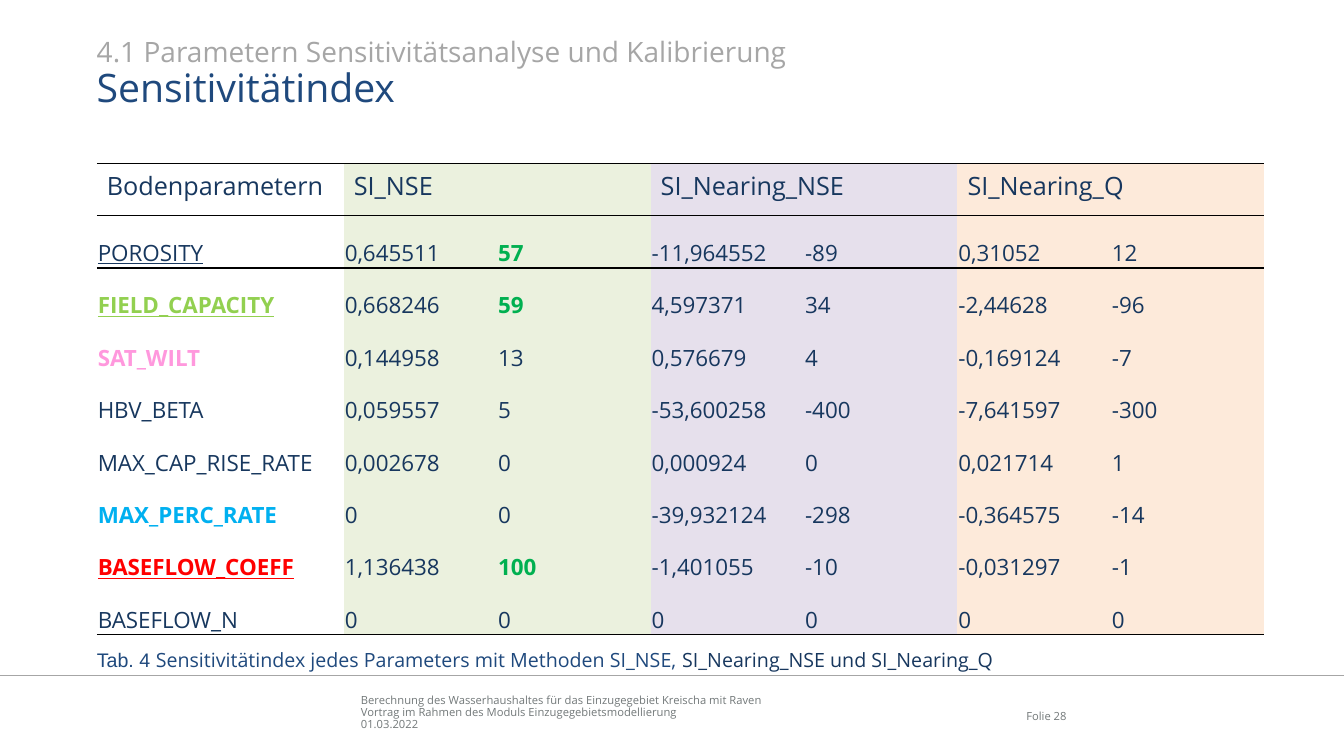
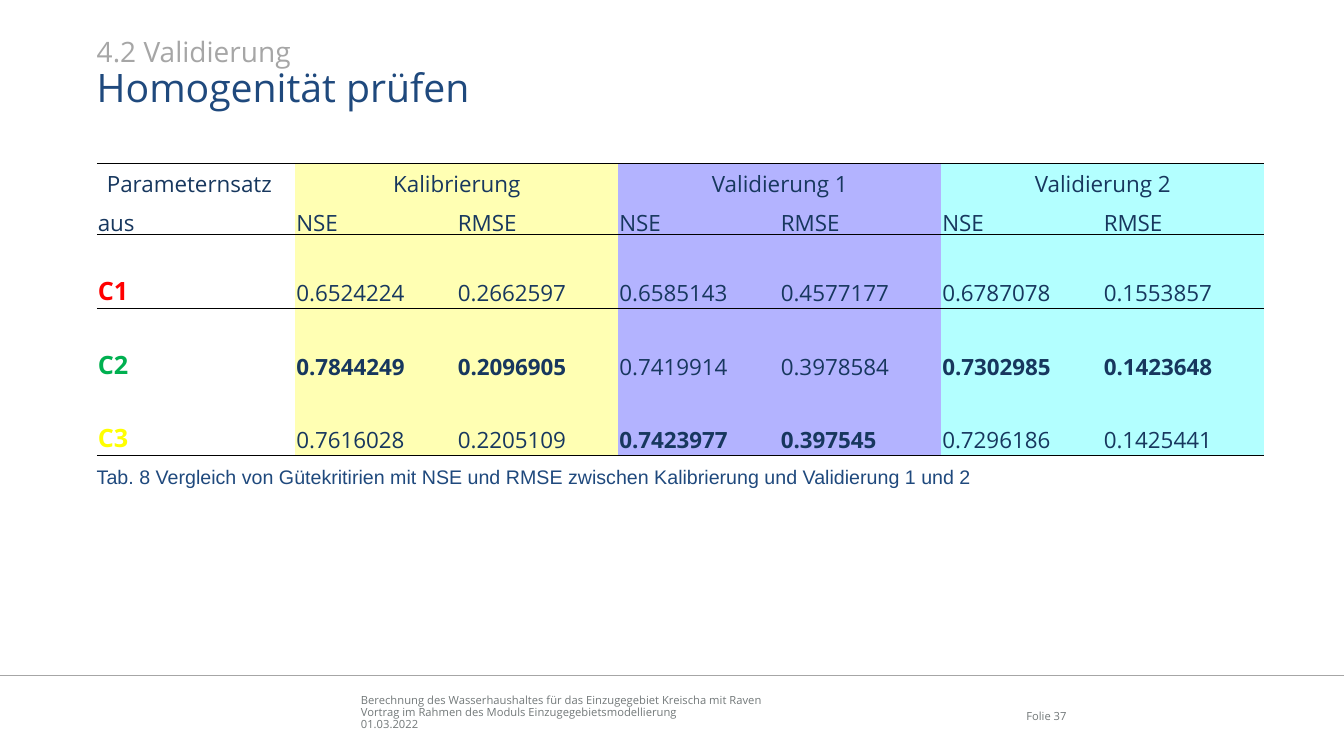
from lxml.etree import SubElement
from pptx import Presentation
from pptx.dml.color import RGBColor
from pptx.enum.shapes import MSO_CONNECTOR
from pptx.enum.text import MSO_ANCHOR, PP_ALIGN
from pptx.oxml import parse_xml
from pptx.oxml.ns import nsdecls, qn
from pptx.util import Inches, Pt

INK = RGBColor(0x17, 0x37, 0x5E)
BLUE = RGBColor(0x1F, 0x49, 0x7D)
GREY = RGBColor(0xA6, 0xA6, 0xA6)
SLATE = RGBColor(0x72, 0x78, 0x79)
GREEN = RGBColor(0x00, 0xB0, 0x50)
LIME = RGBColor(0x92, 0xD0, 0x50)
PINK = RGBColor(0xFF, 0x98, 0xDD)
SKY = RGBColor(0x00, 0xB0, 0xF0)
RED = RGBColor(0xFF, 0x00, 0x00)
YELLOW = RGBColor(0xFF, 0xFF, 0x00)
SOFT = [RGBColor(0xEB, 0xF1, 0xDE), RGBColor(0xE6, 0xE0, 0xEC),
        RGBColor(0xFD, 0xEA, 0xDA)]
VIVID = [RGBColor(0xFF, 0xFF, 0xB3), RGBColor(0xB3, 0xB3, 0xFF),
         RGBColor(0xB3, 0xFF, 0xFF)]

SANS, ARIAL = "Open Sans", "Arial"
LEFT, WIDTH = 0.96, 11.58
PLAIN = "{2D5ABB26-0587-4C30-8999-92F81FD0307C}"  # table style without grid
FOOTER = ["Berechnung des Wasserhaushaltes für das Einzugegebiet Kreischa mit Raven",
          "Vortrag im Rahmen des Moduls Einzugegebietsmodellierung",
          "01.03.2022"]


def style(font, size, color, face=SANS, bold=False, line=False):
    font.size, font.name, font.bold = Pt(size), face, bold
    font.color.rgb = color
    if line:
        font.underline = True


def rule(cell, side):
    """Draw a black border on one side ("T" or "B") of a cell."""
    cell._tc.get_or_add_tcPr().insert(0, parse_xml(
        f'<a:ln{side} {nsdecls("a")} w="12700"><a:solidFill>'
        f'<a:srgbClr val="000000"/></a:solidFill></a:ln{side}>'))


class Deck:
    def __init__(self):
        self.prs = Presentation()
        self.prs.slide_width = Inches(13.33)
        self.prs.slide_height = Inches(7.5)
        self.slide = None

    def page(self, part, title, number):
        """Start a slide with its title and footer."""
        self.slide = self.prs.slides.add_slide(self.prs.slide_layouts[6])
        foot = self.text(3.58, 6.85, 5.67, 0.4, MSO_ANCHOR.BOTTOM)
        foot.text = "\n".join(FOOTER)
        for para in foot.paragraphs:
            para.line_spacing = 0.9
            style(para.font, 8, SLATE)
        self.line(6.7)
        para = self.text(9.81, 7, 0.77, 0.17, MSO_ANCHOR.BOTTOM).paragraphs[0]
        para.text = f"Folie {number}"
        para.alignment = PP_ALIGN.RIGHT
        style(para.font, 8, SLATE)
        para = self.text(LEFT, 0.38, 11.57, 0.74).paragraphs[0]
        para.line_spacing = 0.9
        self.run(para, part, 20, GREY)
        para.add_line_break()
        self.run(para, title, 28, BLUE)

    def text(self, x, y, w, h, anchor=MSO_ANCHOR.TOP):
        box = self.slide.shapes.add_textbox(Inches(x), Inches(y), Inches(w), Inches(h))
        frame = box.text_frame
        frame.word_wrap = True
        frame.vertical_anchor = anchor
        frame.margin_left = frame.margin_right = 0
        frame.margin_top = frame.margin_bottom = 0
        return frame

    def run(self, para, words, *look):
        run = para.add_run()
        run.text = words
        style(run.font, *look)

    def line(self, y):
        line = self.slide.shapes.add_connector(
            MSO_CONNECTOR.STRAIGHT, 0, Inches(y), self.prs.slide_width, Inches(y))
        line.line.color.rgb = GREY
        line.line.width = Pt(1)
        SubElement(line._element.spPr, qn("a:effectLst"))

    def caption(self, y, width):
        frame = self.text(LEFT, y, width, 0.29)
        frame.margin_top = Inches(0.05)
        return frame.paragraphs[0]

    def table(self, heads, rows, first, heights, hues, looks, size, align, top=1):
        """Draw paired columns below merged heads; top counts the head rows."""
        count = len(rows) + 1
        shape = self.slide.shapes.add_table(
            count, 7, Inches(LEFT), Inches(1.62), Inches(WIDTH), Inches(sum(heights)))
        table = shape.table
        table._tbl.tblPr.find(qn("a:tableStyleId")).text = PLAIN
        table.first_row = table.horz_banding = False
        for c, col in enumerate(table.columns):
            col.width = Inches((WIDTH - first) / 6 if c else first)
        for r, height in enumerate(heights):
            table.rows[r].height = Inches(height)
            for c in range(7):
                cell = table.cell(r, c)
                if c:
                    cell.fill.solid()
                    cell.fill.fore_color.rgb = hues[(c - 1) // 2]
                else:
                    cell.fill.background()
                if r in (top - 1, count - 1):
                    rule(cell, "B")
                if r in (0, top):
                    rule(cell, "T")
                if r:
                    self.value(cell, rows[r - 1][c], looks)
        for i, head in enumerate(heads):
            cell = table.cell(0, max(0, 2 * i - 1))
            if i:
                cell.merge(table.cell(0, 2 * i))
            para = cell.text_frame.paragraphs[0]
            para.text = head
            para.alignment = align if i else PP_ALIGN.LEFT
            style(para.font, size, INK)

    def value(self, cell, words, looks):
        cell.vertical_anchor = MSO_ANCHOR.BOTTOM
        cell.margin_left = cell.margin_right = cell.margin_top = Inches(0.01)
        cell.margin_bottom = 0
        para = cell.text_frame.paragraphs[0]
        para.text = words
        style(para.font, **{"size": 16, "color": INK, **looks.get(words, {})})


def index(deck):
    deck.page("4.1 Parametern Sensitivitätsanalyse und Kalibrierung",
              "Sensitivitätindex", 28)
    rows = [
        ("POROSITY", "0,645511", "57", "-11,964552", "-89", "0,31052", "12"),
        ("FIELD_CAPACITY", "0,668246", "59", "4,597371", "34", "-2,44628", "-96"),
        ("SAT_WILT", "0,144958", "13", "0,576679", "4", "-0,169124", "-7"),
        ("HBV_BETA", "0,059557", "5", "-53,600258", "-400", "-7,641597", "-300"),
        ("MAX_CAP_RISE_RATE", "0,002678", "0", "0,000924", "0", "0,021714", "1"),
        ("MAX_PERC_RATE", "0", "0", "-39,932124", "-298", "-0,364575", "-14"),
        ("BASEFLOW_COEFF", "1,136438", "100", "-1,401055", "-10", "-0,031297", "-1"),
        ("BASEFLOW_N", "0", "0", "0", "0", "0", "0"),
    ]
    looks = {
        "POROSITY": dict(line=True),
        "FIELD_CAPACITY": dict(color=LIME, bold=True, line=True),
        "SAT_WILT": dict(color=PINK, bold=True),
        "MAX_PERC_RATE": dict(color=SKY, bold=True),
        "BASEFLOW_COEFF": dict(color=RED, bold=True, line=True),
    }
    looks.update({best: dict(color=GREEN, bold=True) for best in ("57", "59", "100")})
    deck.table(["Bodenparametern", "SI_NSE", "SI_Nearing_NSE", "SI_Nearing_Q"],
               rows, 2.45, [0.52] * 9, SOFT, looks, 18, PP_ALIGN.LEFT)
    para = deck.caption(6.38, 9.08)
    deck.run(para, "Tab. 4 ", 14, BLUE, ARIAL)
    deck.run(para, "Sensitivitätindex jedes Parameters mit Methoden SI_NSE, ", 14, BLUE)
    deck.run(para, "SI_Nearing_NSE und SI_Nearing_Q", 14, INK)


def check(deck):
    deck.page("4.2 Validierung", "Homogenität prüfen", 37)
    rows = [
        ("aus", *("NSE", "RMSE") * 3),
        ("C1", "0.6524224", "0.2662597", "0.6585143", "0.4577177", "0.6787078", "0.1553857"),
        ("C2", "0.7844249", "0.2096905", "0.7419914", "0.3978584", "0.7302985", "0.1423648"),
        ("C3", "0.7616028", "0.2205109", "0.7423977", "0.397545", "0.7296186", "0.1425441"),
    ]
    best = ("0.7844249", "0.2096905", "0.7302985", "0.1423648", "0.7423977", "0.397545")
    looks = {words: dict(bold=True) for words in best}
    for name, color in (("C1", RED), ("C2", GREEN), ("C3", YELLOW)):
        looks[name] = dict(size=18, color=color, bold=True)
    deck.table(["Parameternsatz", "Kalibrierung", "Validierung 1", "Validierung 2"],
               rows, 1.97, [0.43, 0.27] + [0.73] * 3, VIVID, looks, 16,
               PP_ALIGN.CENTER, top=2)
    para = deck.caption(4.56, 10.44)
    para.text = ("Tab. 8 Vergleich von Gütekritirien mit NSE und RMSE "
                 "zwischen Kalibrierung und Validierung 1 und 2")
    style(para.font, 14, BLUE, ARIAL)


def main():
    deck = Deck()
    index(deck)
    check(deck)
    deck.prs.save("out.pptx")


if __name__ == "__main__":
    main()
